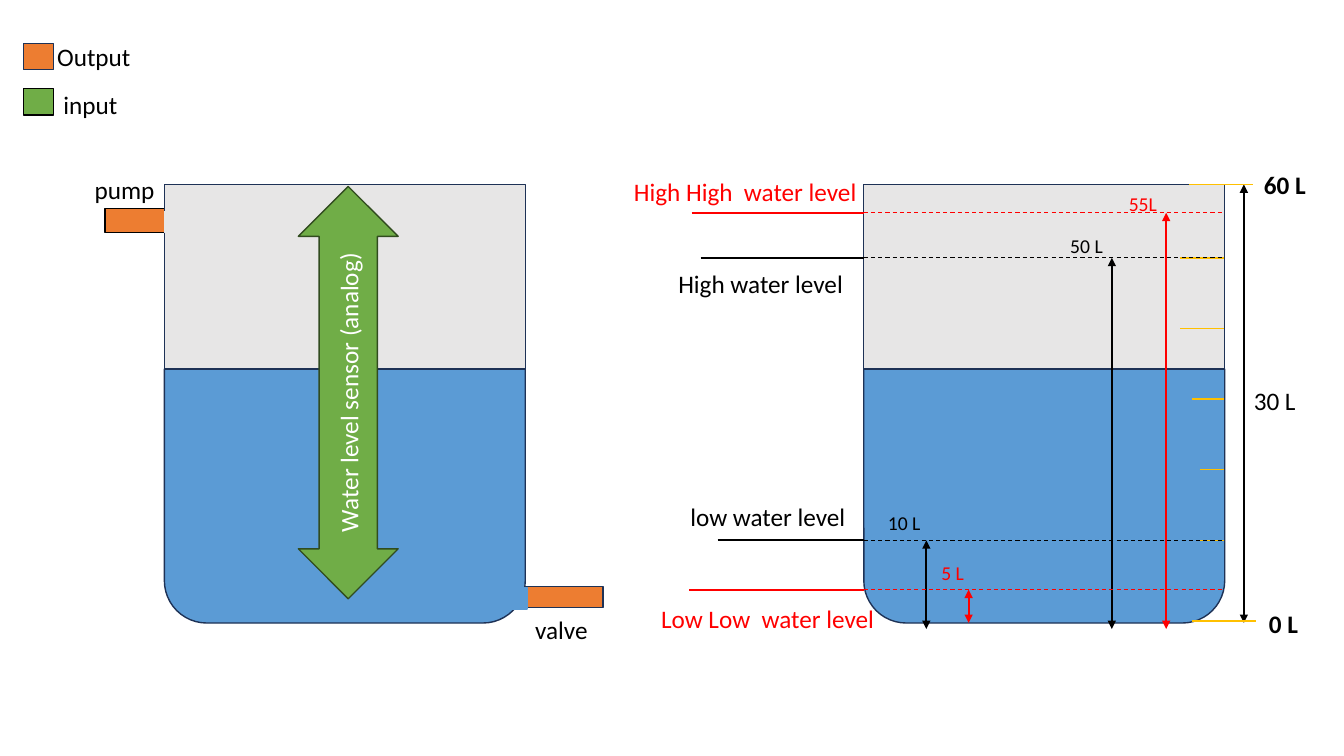
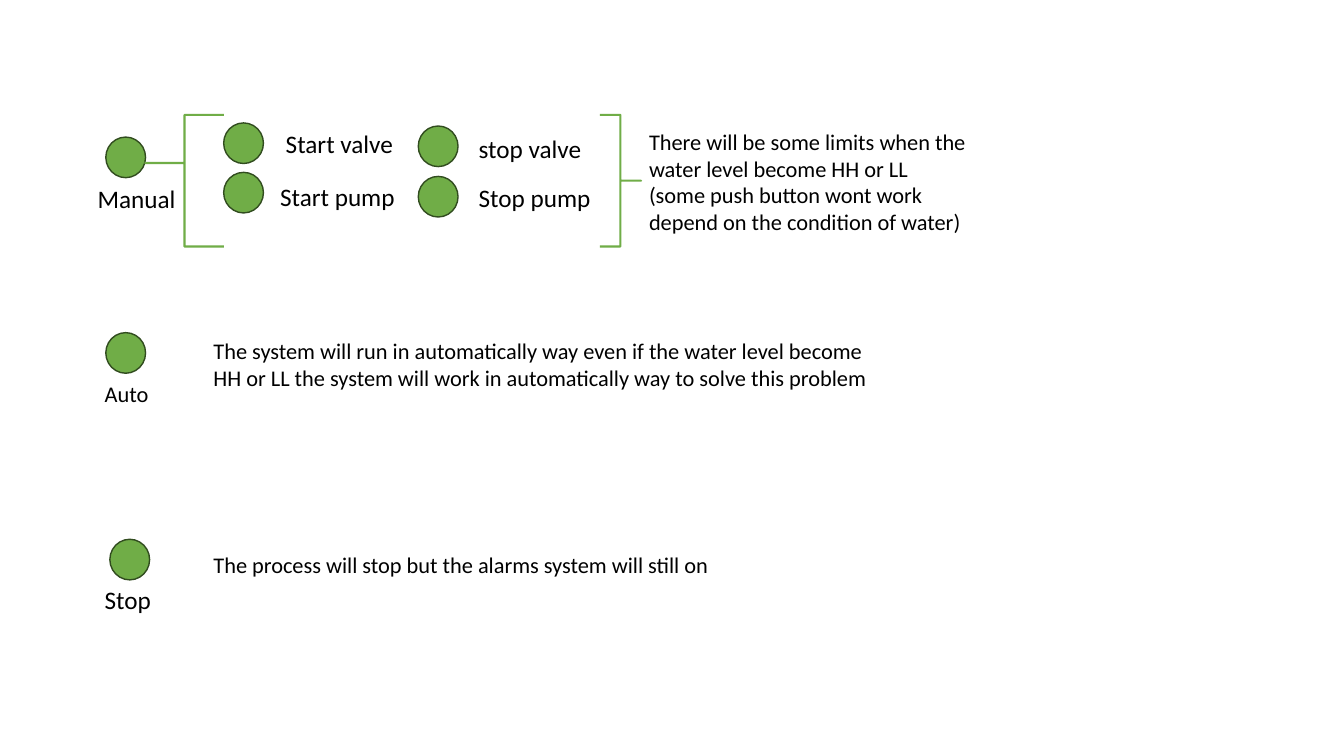
from dataclasses import dataclass

from lxml import etree
from pptx import Presentation
from pptx import util as u
from pptx.dml import color
from pptx.enum import dml, shapes, text
from pptx.oxml import ns

SHAPE = shapes.MSO_SHAPE


@dataclass(frozen=True)
class Theme:
    font: str = "Calibri"
    black: str = "000000"
    white: str = "FFFFFF"
    red: str = "FF0000"
    navy: str = "1E3256"
    orange: str = "ED7D31"
    green: str = "70AD47"
    dark_green: str = "314C1F"
    water: str = "5B9BD5"
    air: str = "E7E6E6"
    gold: str = "FFC000"
    label: int = 18
    body: int = 16
    small: int = 14
    thin: float = 0.75
    outline: float = 1
    thick: float = 1.5


THEME = Theme()


class Page:
    """Draws on one blank slide; all lengths are points."""

    def __init__(self, deck, theme=THEME):
        self.theme = theme
        self.slide = deck.slides.add_slide(deck.slide_layouts[6])

    def style_text(self, frame, hue, size, bold=False):
        for para in frame.paragraphs:
            for span in para.runs:
                span.font.name = self.theme.font
                span.font.size = u.Pt(size)
                span.font.bold = bold
                span.font.color.rgb = color.RGBColor.from_string(hue)

    def shape(self, kind, left, top, width, height, fill, edge, weight=None, adjust=()):
        box = self.slide.shapes.add_shape(
            kind, u.Pt(left), u.Pt(top), u.Pt(width), u.Pt(height))
        box.shadow.inherit = False
        if fill:
            box.fill.solid()
            box.fill.fore_color.rgb = color.RGBColor.from_string(fill)
        else:
            box.fill.background()
        box.line.color.rgb = color.RGBColor.from_string(edge)
        box.line.width = u.Pt(weight or self.theme.outline)
        for index, value in enumerate(adjust):
            box.adjustments[index] = value
        return box

    def line(self, x1, y1, x2, y2, hue, weight=None, dashed=False, arrows=False):
        rule = self.slide.shapes.add_connector(
            shapes.MSO_CONNECTOR.STRAIGHT, u.Pt(x1), u.Pt(y1), u.Pt(x2), u.Pt(y2))
        rule.line.color.rgb = color.RGBColor.from_string(hue)
        rule.line.width = u.Pt(weight or self.theme.thick)
        if dashed:
            rule.line.dash_style = dml.MSO_LINE.DASH
        properties = rule.element.spPr
        if arrows:
            stroke = properties.find(ns.qn("a:ln"))
            for end in ("a:headEnd", "a:tailEnd"):
                etree.SubElement(stroke, ns.qn(end)).set("type", "triangle")
        etree.SubElement(properties, ns.qn("a:effectLst"))

    def label(self, words, left, top, width, hue=None, size=None, bold=False, height=29):
        box = self.slide.shapes.add_textbox(
            u.Pt(left), u.Pt(top), u.Pt(width), u.Pt(height))
        frame = box.text_frame
        frame.word_wrap = True
        frame.text = words
        self.style_text(frame, hue or self.theme.black, size or self.theme.label, bold)

    def tank(self, left):
        theme = self.theme
        water = self.shape(SHAPE.ROUND_2_SAME_RECTANGLE, left, TANK_MIDDLE, TANK_WIDTH,
                           181.5, theme.water, theme.navy)
        water.rotation = 180
        self.shape(SHAPE.RECTANGLE, left, TANK_TOP, TANK_WIDTH, TANK_MIDDLE - TANK_TOP,
                   theme.air, theme.navy)

    def button(self, left, top):
        self.shape(SHAPE.OVAL, left, top, 28.4, 29, self.theme.green, self.theme.dark_green)


# Tank geometry
TANK_TOP, TANK_MIDDLE, TANK_BOTTOM = 131.8, 263.5, 445
TANK_WIDTH = 257.8
SENSOR_TANK, LEVEL_TANK = 117.4, 617
LEVEL_RIGHT = 874.3
ARROW_BOTTOM = 449.3
# Levels: colour, height, left end of the lead, arrow x, arrow bottom
LEVELS = [
    (THEME.red, 152, 494, 833, ARROW_BOTTOM),
    (THEME.black, 184.2, 500.4, 794.2, ARROW_BOTTOM),
    (THEME.black, 386, 512.6, 661.7, ARROW_BOTTOM),
    (THEME.red, 421.2, 492.5, 691.9, TANK_BOTTOM),
]


def tank_slide(deck):
    page = Page(deck)
    theme = page.theme

    # Pump, valve and both tanks, with the pipe openings on top
    page.shape(SHAPE.RECTANGLE, 75, 149, 85, 17.3, theme.orange, theme.black)
    page.shape(SHAPE.RECTANGLE, 345.6, 419, 85, 15.1, theme.orange, theme.navy)
    for left in (SENSOR_TANK, LEVEL_TANK):
        page.tank(left)
    for left, top, fill in ((117.4, 151.2, theme.air), (355, 419.8, theme.water)):
        page.shape(SHAPE.RECTANGLE, left, top, 21.6, 15.1, fill, fill)
    page.label("pump", 60.5, 121, 75.6)
    page.label("valve", 375.1, 434.9, 68.4)

    # Scale ticks
    for step, left in enumerate((843, 843, 851.8, 856.8, 856.8)):
        height = 184.3 + 50.4 * step
        page.line(left, height, LEVEL_RIGHT, height, theme.gold, theme.outline)
    page.line(888.5, TANK_TOP, 888.5, TANK_BOTTOM, theme.black, arrows=True)
    for left, height, right in ((849.6, TANK_TOP, 895), (851.8, 443.5, 897.1)):
        page.line(left, height, right, height, theme.gold, theme.outline)

    # Level leads, dashes and volume arrows
    for hue, height, lead, arrow, bottom in LEVELS:
        page.line(lead, height, LEVEL_TANK, height, hue)
        page.line(arrow, height, arrow, bottom, hue, arrows=True)
        page.line(LEVEL_TANK, height, LEVEL_RIGHT, height, hue, theme.thin, dashed=True)

    # Level names, volumes and scale values
    for words, left, top, width, hue in (
            ("High High  water level", 445.7, 122.4, 181.4, theme.red),
            ("High water level", 477.4, 187.9, 140.4, theme.black),
            ("low water level", 486, 354.2, 140.4, theme.black),
            ("Low Low  water level", 465.1, 427.7, 171.4, theme.red)):
        page.label(words, left, top, width, hue)
    for words, left, top, hue in (
            ("55L", 799.2, 133.2, theme.red), ("50 L", 757.4, 163.4, theme.black),
            ("10 L", 627.1, 361.4, theme.black), ("5 L", 665.3, 397.4, theme.red)):
        page.label(words, left, top, 55, hue, theme.small, height=24.5)
    for words, left, top, bold in (
            ("60 L", 895.7, 117.4, True), ("30 L", 888.5, 271.4, False),
            ("0 L", 899.3, 430.6, True)):
        page.label(words, left, top, 60, bold=bold)

    # Sensor arrow
    sensor = page.shape(SHAPE.UP_DOWN_ARROW, 213.1, 133.2, 71.3, 294.5,
                        theme.green, theme.dark_green, adjust=(0.514, 0.584))
    frame = sensor.text_frame
    frame.text = "Water level sensor (analog)"
    frame.vertical_anchor = text.MSO_ANCHOR.MIDDLE
    frame.paragraphs[0].alignment = text.PP_ALIGN.CENTER
    sensor.element.txBody.find(ns.qn("a:bodyPr")).set("vert", "vert270")
    page.style_text(frame, theme.white, theme.label)

    # Legend
    for words, left, top, swatch_top, fill, edge in (
            ("Output", 33.8, 25.9, 31, theme.orange, theme.navy),
            ("input", 38.2, 60.5, 63.4, theme.green, theme.black)):
        page.shape(SHAPE.RECTANGLE, 16.6, swatch_top, 21.6, 18.7, fill, edge)
        page.label(words, left, top, 235)


def control_slide(deck):
    page = Page(deck)
    theme = page.theme

    # Push buttons and their names
    for words, left, top, name_left, name_top, size in (
            ("Manual", 75.6, 97.9, 62.6, 127.4, theme.label),
            ("Auto", 75.6, 237.6, 67.7, 267.8, theme.body),
            ("Stop", 78.5, 385.2, 67.7, 414, theme.label),
            ("Start valve", 159.8, 87.8, 197, 87.8, theme.label),
            ("Start pump", 159.8, 123.1, 193, 126, theme.label),
            ("stop valve", 298.8, 90, 334.8, 91.4, theme.label),
            ("Stop pump", 298.8, 126, 334.8, 126.7, theme.label)):
        page.button(left, top)
        page.label(words, name_left, name_top, 110, size=size)

    # Braces around the manual buttons
    for kind, left, width, middle in ((SHAPE.LEFT_BRACE, 103.7, 56.2, 0.366),
                                      (SHAPE.RIGHT_BRACE, 428.4, 29.5, 0.5)):
        page.shape(kind, left, 82.1, width, 94, None, theme.green, theme.thick, (0, middle))

    # Explanations
    for words, left, top, width, height in (
            ("There will be some limits when the water level become HH or LL\n"
             "(some push button wont work depend on the condition of water)",
             456.5, 87.8, 262, 85),
            ("The system will run in automatically way even if the water level become "
             "HH or LL the system will work in automatically way to solve this problem",
             145.4, 237.6, 498.2, 46),
            ("The process will stop but the alarms system will still on",
             145.4, 390.2, 556.6, 26.6)):
        page.label(words, left, top, width, size=theme.body, height=height)


def main():
    deck = Presentation()
    deck.slide_width, deck.slide_height = u.Pt(960), u.Pt(540)
    tank_slide(deck)
    control_slide(deck)
    deck.save("out.pptx")


if __name__ == "__main__":
    main()
